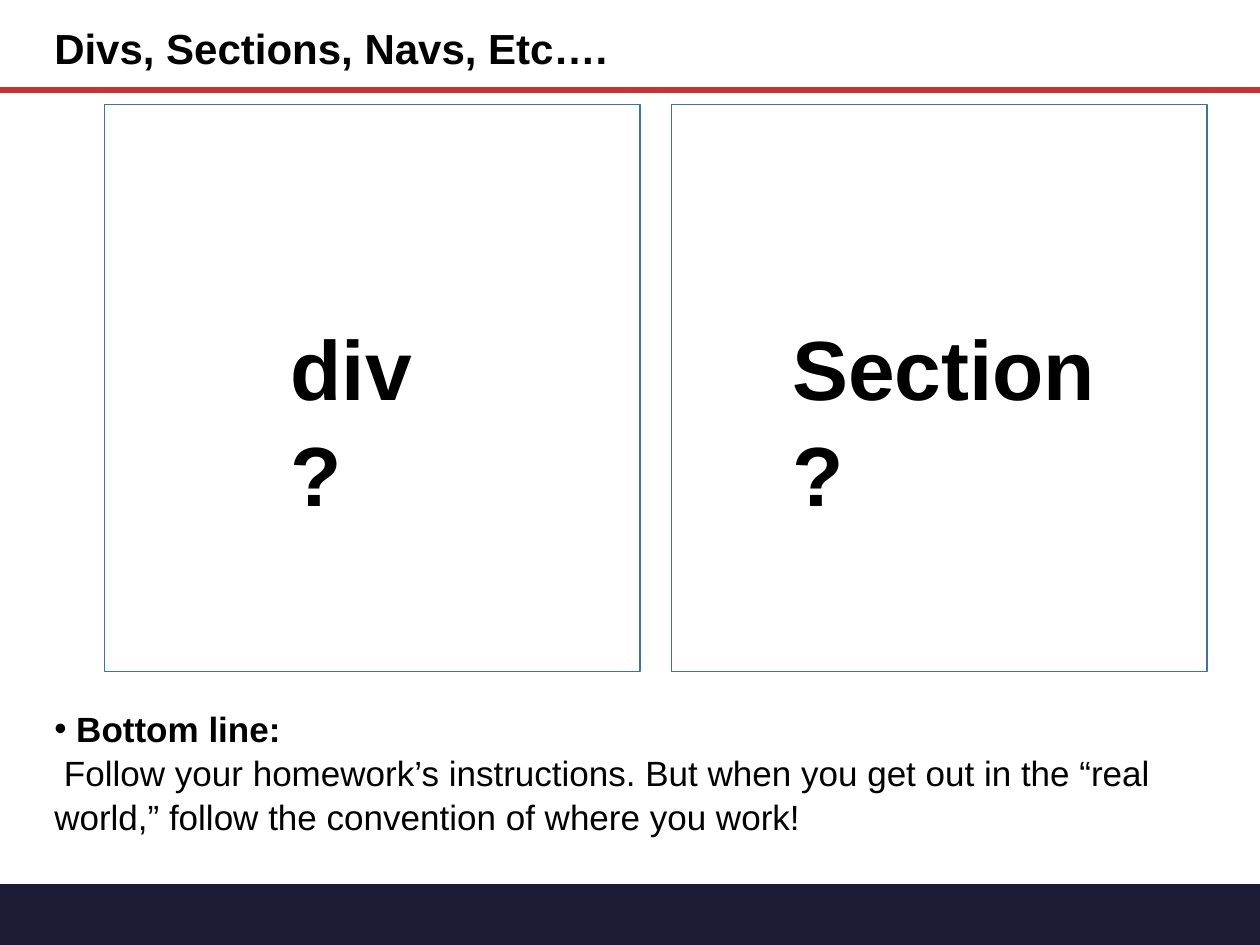
from pptx import Presentation
from pptx.dml.color import RGBColor
from pptx.enum.shapes import MSO_CONNECTOR, MSO_SHAPE
from pptx.enum.text import MSO_ANCHOR, MSO_AUTO_SIZE, PP_ALIGN
from pptx.oxml.ns import qn
from pptx.util import Cm, Pt
from lxml import etree

BLACK = RGBColor(0x00, 0x00, 0x00)
NAVY = RGBColor(0x1D, 0x1A, 0x36)
RED = RGBColor(0xC8, 0x32, 0x32)
BLUE = RGBColor(0x42, 0x71, 0x9B)
FONT = "Arial"

# Content: text, and for each panel the label's left and width in cm
TITLE = "Divs, Sections, Navs, Etc…."
LEAD = " Bottom line:"
ADVICE = (" Follow your homework’s instructions. But when you get out in the "
          "“real world,” follow the convention of where you work!")
PANELS = [("div?", 5.61, 3.8), ("Section?", 15.72, 7.4)]

# Panel grid in cm
PANEL_LEFT, PANEL_TOP = 2.11, 2.11
PANEL_WIDTH, PANEL_HEIGHT, PANEL_GAP = 10.8, 11.43, 0.63
LABEL_TOP, LABEL_HEIGHT = 6.15, 2.29


def place(shape, left, top, width, height):
    shape.left, shape.top = Cm(left), Cm(top)
    shape.width, shape.height = Cm(width), Cm(height)


def format_text(shape, size, bold=True, anchor=MSO_ANCHOR.TOP):
    text_frame = shape.text_frame
    text_frame.word_wrap = True
    text_frame.auto_size = MSO_AUTO_SIZE.NONE
    text_frame.vertical_anchor = anchor
    for paragraph in text_frame.paragraphs:
        paragraph.alignment = PP_ALIGN.LEFT
        paragraph.line_spacing = 1.05
        paragraph.space_before = Pt(0)
        for run in paragraph.runs:
            run.font.name = FONT
            run.font.size = Pt(size)
            run.font.bold = bold
            run.font.color.rgb = BLACK


presentation = Presentation()
presentation.slide_width, presentation.slide_height = Cm(25.4), Cm(19.05)
slide = presentation.slides.add_slide(presentation.slide_layouts[1])
shapes = slide.shapes

# Footer band and red rule under the title
footer = shapes.add_shape(MSO_SHAPE.FLOWCHART_PROCESS,
                          Cm(0), Cm(17.83), Cm(25.4), Cm(1.22))
footer.shadow.inherit = False
footer.fill.solid()
footer.fill.fore_color.rgb = NAVY
footer.line.fill.background()

rule = shapes.add_connector(MSO_CONNECTOR.STRAIGHT,
                            Cm(0), Cm(1.82), Cm(25.4), Cm(1.82))
rule.line.color.rgb = RED
rule.line.width = Pt(3.25)
etree.SubElement(rule.element.spPr, qn("a:effectLst"))

# Title
title = shapes.title
place(title, 0.84, 0.3, 15.88, 1.27)
title.text_frame.text = TITLE
format_text(title, 24, anchor=MSO_ANCHOR.MIDDLE)

# Bulleted bottom line, with a line break after the bold lead
body = slide.placeholders[1]
place(body, 0.84, 13.97, 24.26, 3.38)
body.text_frame.text = LEAD + "\v" + ADVICE
body.text_frame.margin_top = body.text_frame.margin_bottom = Cm(0.25)
format_text(body, 20)
paragraph = body.text_frame.paragraphs[0]
paragraph.runs[1].font.bold = False
properties = paragraph._p.get_or_add_pPr()
properties.set("marL", "0")
properties.set("indent", str(-Cm(0.35)))
etree.SubElement(properties, qn("a:buFont")).set("typeface", FONT)
etree.SubElement(properties, qn("a:buChar")).set("char", "•")

# Two outlined panels with their labels
for index, (text, label_left, label_width) in enumerate(PANELS):
    left = PANEL_LEFT + index * (PANEL_WIDTH + PANEL_GAP)
    panel = shapes.add_shape(MSO_SHAPE.RECTANGLE, Cm(left), Cm(PANEL_TOP),
                             Cm(PANEL_WIDTH), Cm(PANEL_HEIGHT))
    panel.shadow.inherit = False
    panel.fill.background()
    panel.line.color.rgb = BLUE
    panel.line.width = Pt(1)

    label = shapes.add_textbox(Cm(label_left), Cm(LABEL_TOP),
                               Cm(label_width), Cm(LABEL_HEIGHT))
    label.text_frame.text = text
    format_text(label, 48)

presentation.save("out.pptx")
